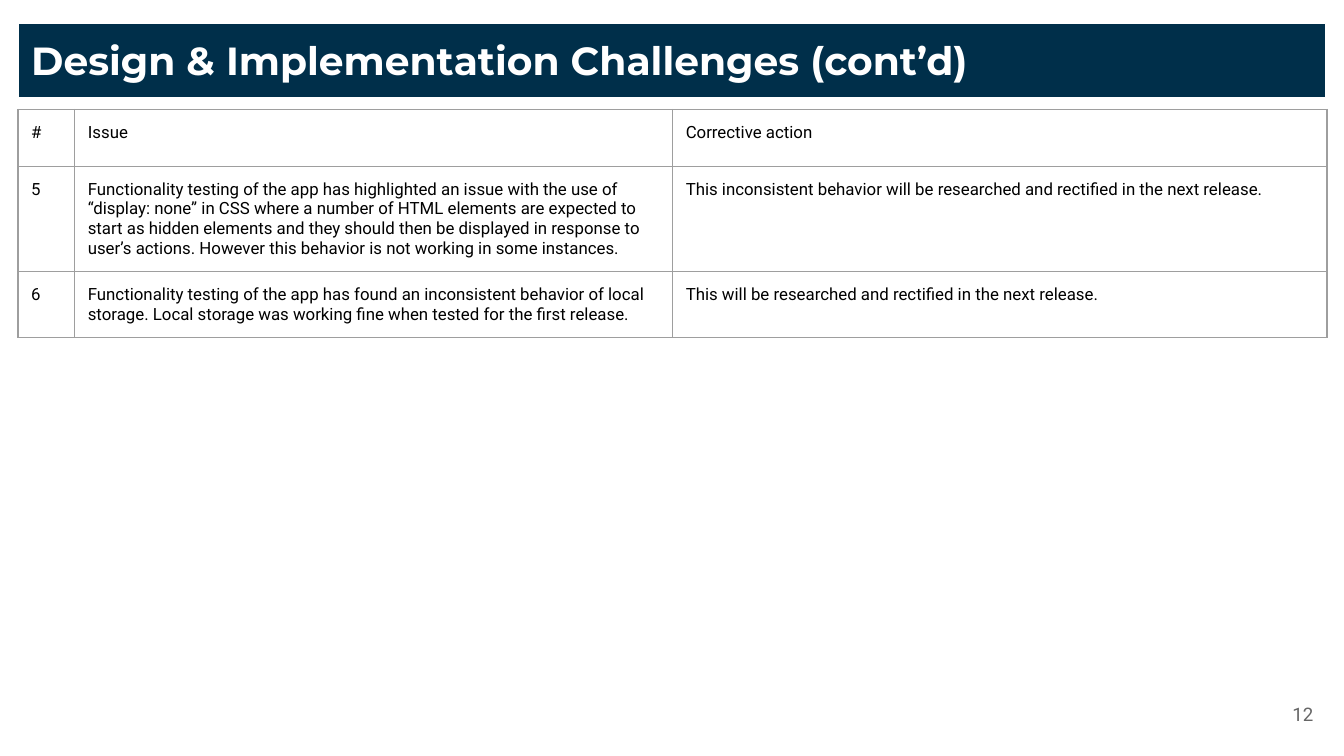
from pptx import Presentation
from pptx.dml.color import RGBColor
from pptx.enum.text import MSO_ANCHOR as Anchor, PP_ALIGN as Align
from pptx.oxml import parse_xml
from pptx.oxml.ns import nsdecls
from pptx.util import Cm, Pt

INSET = Cm(0.25)


def color(hex_code):
    return RGBColor.from_string(hex_code)


def add_text(paragraph, text, font, size, hex_code, bold=False):
    run = paragraph.add_run()
    run.text = text
    run.font.name = font
    run.font.size = Pt(size)
    run.font.bold = bold
    run.font.color.rgb = color(hex_code)


presentation = Presentation()
presentation.slide_width = Cm(25.4)
presentation.slide_height = Cm(14.29)
slide = presentation.slides.add_slide(presentation.slide_layouts[5])

# Title bar
title = slide.shapes.title
title.left, title.top, title.width, title.height = Cm(0.34), Cm(0.44), Cm(24.71), Cm(1.4)
title.fill.solid()
title.fill.fore_color.rgb = color("002F4A")
title.line.color.rgb = color("FFFFFF")
title.line.width = Pt(0.75)
title_frame = title.text_frame
title_frame.vertical_anchor = Anchor.MIDDLE
title_frame.paragraphs[0].alignment = Align.LEFT
add_text(title_frame.paragraphs[0], "Design & Implementation Challenges (cont’d)",
         "Montserrat", 21, "FFFFFF", bold=True)

# Table of issues
rows = [
    ("#", "Issue", "Corrective action"),
    ("5",
     "Functionality testing of the app has highlighted an issue with the use of "
     "“display: none” in CSS where a number of HTML elements are expected to start as "
     "hidden elements and they should then be displayed in response to user’s actions. "
     "However this behavior is not working in some instances.",
     "This inconsistent behavior will be researched and rectified in the next release. "),
    ("6",
     "Functionality testing of the app has found an inconsistent behavior of local "
     "storage. Local storage was working fine when tested for the first release.",
     "This will be researched and rectified in the next release. "),
]
column_widths = [1.07, 11.3, 12.37]
row_height = 1.07
table = slide.shapes.add_table(
    len(rows), len(column_widths), Cm(0.34), Cm(2.07),
    Cm(sum(column_widths)), Cm(row_height * len(rows))).table
table.first_row = False
table.horz_banding = False
for column, width in zip(table.columns, column_widths):
    column.width = Cm(width)

for row, texts in zip(table.rows, rows):
    row.height = Cm(row_height)
    for cell, text in zip(row.cells, texts):
        cell.margin_left = cell.margin_right = cell.margin_top = cell.margin_bottom = INSET
        add_text(cell.text_frame.paragraphs[0], text, "Roboto", 9, "000000")
        # Borders come before the fill in the cell properties
        properties = cell._tc.get_or_add_tcPr()
        for side in ("lnL", "lnR", "lnT", "lnB"):
            properties.append(parse_xml(
                f'<a:{side} {nsdecls("a")} w="{Pt(0.75)}"><a:solidFill>'
                f'<a:srgbClr val="9E9E9E"/></a:solidFill></a:{side}>'))
        cell.fill.background()

# Page number
page_number = slide.shapes.add_textbox(Cm(23.55), Cm(12.95), Cm(1.52), Cm(1.09))
number_frame = page_number.text_frame
number_frame.word_wrap = True
number_frame.vertical_anchor = Anchor.MIDDLE
number_frame.paragraphs[0].alignment = Align.RIGHT
add_text(number_frame.paragraphs[0], "12", "Roboto", 10, "666666")

for frame in (title_frame, number_frame):
    frame.margin_left = frame.margin_right = frame.margin_top = frame.margin_bottom = INSET

presentation.save("out.pptx")
